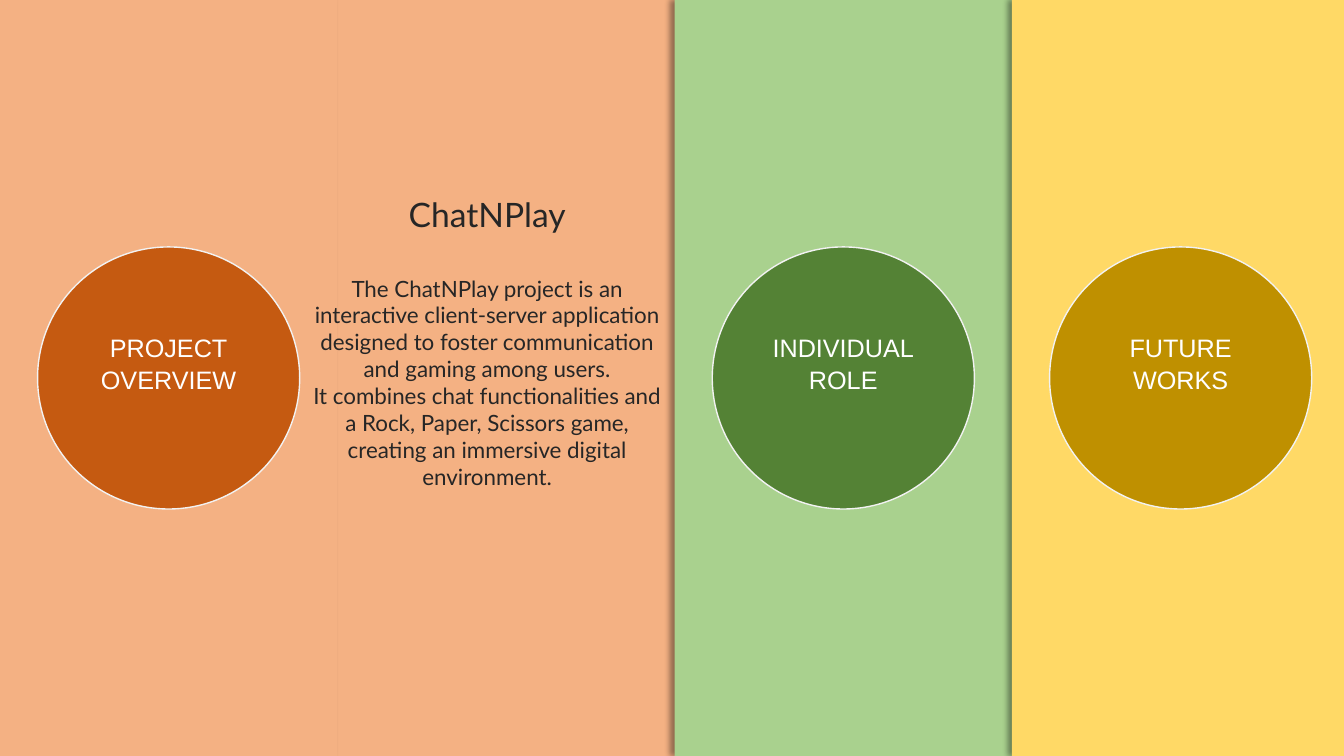
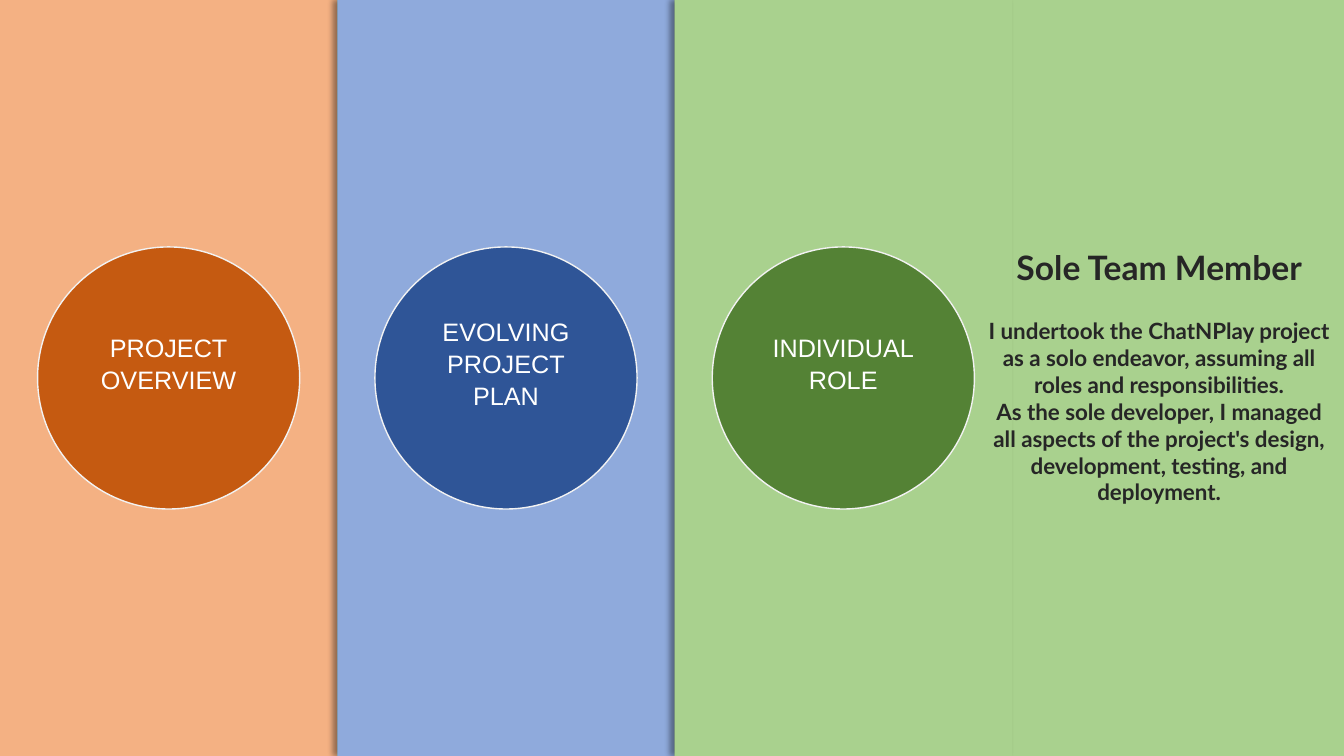
from lxml import etree
from pptx import Presentation
from pptx.dml.color import RGBColor
from pptx.enum.shapes import MSO_SHAPE
from pptx.enum.text import MSO_ANCHOR, MSO_AUTO_SIZE, PP_ALIGN
from pptx.oxml.ns import qn
from pptx.util import Inches, Pt

RECTANGLE, OVAL = MSO_SHAPE.RECTANGLE, MSO_SHAPE.OVAL
CENTER = PP_ALIGN.CENTER
TOP, MIDDLE = MSO_ANCHOR.TOP, MSO_ANCHOR.MIDDLE
GROW = MSO_AUTO_SIZE.SHAPE_TO_FIT_TEXT

WIDTH, HEIGHT = Inches(13.33), Inches(7.5)
COLUMN = round(WIDTH * 0.251)
DIAMETER = Inches(2.6)
MARGIN = (COLUMN - DIAMETER) // 2

COLORS = {
    "overview": "F4B183", "overview_dark": "C55A11",
    "plan": "8FAADC", "plan_dark": "2F5597",
    "role": "A9D18E", "role_dark": "548235",
    "future": "FFD966", "future_dark": "BF9000",
    "outline": "F2F2F2", "label": "FFFFFF", "body": "262626", "shadow": "000000",
}
SECTIONS = {
    "overview": (0, ["PROJECT", "OVERVIEW"]),
    "plan": (1, ["EVOLVING", "PROJECT", "PLAN"]),
    "role": (2, ["INDIVIDUAL", "ROLE"]),
    "future": (3, ["FUTURE", "WORKS"]),
}


def color(name):
    """Return the named palette colour."""
    return RGBColor.from_string(COLORS[name])


def paint(fill, name):
    """Make a fill solid in the named colour."""
    fill.solid()
    fill.fore_color.rgb = color(name)


def write(frame, lines, sizes, font, tint, bold=False):
    """Write centred lines, each at its own point size."""
    frame.word_wrap = True
    frame.text = "\n".join(lines)
    for paragraph, size in zip(frame.paragraphs, sizes):
        paragraph.alignment = CENTER
        for run in paragraph.runs:
            run.font.size = Pt(size)
            run.font.name = font
            run.font.bold = bold
            run.font.color.rgb = color(tint)


def cast_left_shadow(panel):
    """Give a panel a soft shadow on its left side."""
    panel.shadow.inherit = False
    effects = panel.element.spPr.find(qn("a:effectLst"))
    shadow = etree.SubElement(
        effects, qn("a:outerShdw"), blurRad=str(Pt(4)), dist=str(Pt(3)),
        dir=str(180 * 60000), algn="r", rotWithShape="0")
    tint = etree.SubElement(shadow, qn("a:srgbClr"), val=COLORS["shadow"])
    etree.SubElement(tint, qn("a:alpha"), val="40000")


def add_section(slide, section):
    """Add a full-height panel with its labelled circle."""
    column, label = SECTIONS[section]
    left = column * COLUMN
    group = slide.shapes.add_group_shape()

    panel = group.shapes.add_shape(RECTANGLE, left, 0, COLUMN, HEIGHT)
    paint(panel.fill, section)
    panel.line.fill.background()
    cast_left_shadow(panel)

    circle = group.shapes.add_shape(
        OVAL, left + MARGIN, (HEIGHT - DIAMETER) // 2, DIAMETER, DIAMETER)
    circle.shadow.inherit = False
    paint(circle.fill, f"{section}_dark")
    circle.line.color.rgb = color("outline")
    circle.line.width = Pt(1)
    frame = circle.text_frame
    frame.vertical_anchor = MIDDLE
    frame.margin_bottom = Inches(0.35)
    write(frame, label, [18] * len(label), "Arial", "label")
    for paragraph in frame.paragraphs:
        paragraph.line_spacing = 1.05


def add_details(slide, section, top, height, lines, gap, bold):
    """Add a heading and body text from the circle's edge to the next panel."""
    right = (SECTIONS[section][0] + 1) * COLUMN
    left = right - MARGIN
    width = min(right + COLUMN, WIDTH) - left
    details = slide.shapes.add_textbox(left, round(HEIGHT * top), width, round(HEIGHT * height))
    frame = details.text_frame
    frame.vertical_anchor = TOP
    write(frame, lines, [24, 16, 16], "Lato", "body", bold)
    frame.auto_size = GROW
    frame.paragraphs[0].space_after = Pt(gap)


def add_section_slide(deck, open_section, shown, **details):
    """Add a slide whose open section spreads over the background."""
    slide = deck.slides.add_slide(deck.slide_layouts[6])
    paint(slide.background.fill, open_section)
    for section in shown:
        add_section(slide, section)
    add_details(slide, open_section, **details)


def main():
    """Build and save the deck."""
    deck = Presentation()
    deck.slide_width, deck.slide_height = WIDTH, HEIGHT
    add_section_slide(
        deck, "overview", ["overview", "role", "future"],
        top=0.25, height=0.41, gap=28.8, bold=False,
        lines=[
            "ChatNPlay",
            "The ChatNPlay project is an interactive client-server application "
            "designed to foster communication and gaming among users.",
            "It combines chat functionalities and a Rock, Paper, Scissors game, "
            "creating an immersive digital environment.",
        ])
    add_section_slide(
        deck, "role", ["overview", "plan", "role"],
        top=0.32, height=0.36, gap=21.6, bold=True,
        lines=[
            "Sole Team Member",
            "I undertook the ChatNPlay project as a solo endeavor, "
            "assuming all roles and responsibilities.",
            "As the sole developer, I managed all aspects of the project's "
            "design, development, testing, and deployment.",
        ])
    deck.save("out.pptx")


if __name__ == "__main__":
    main()
